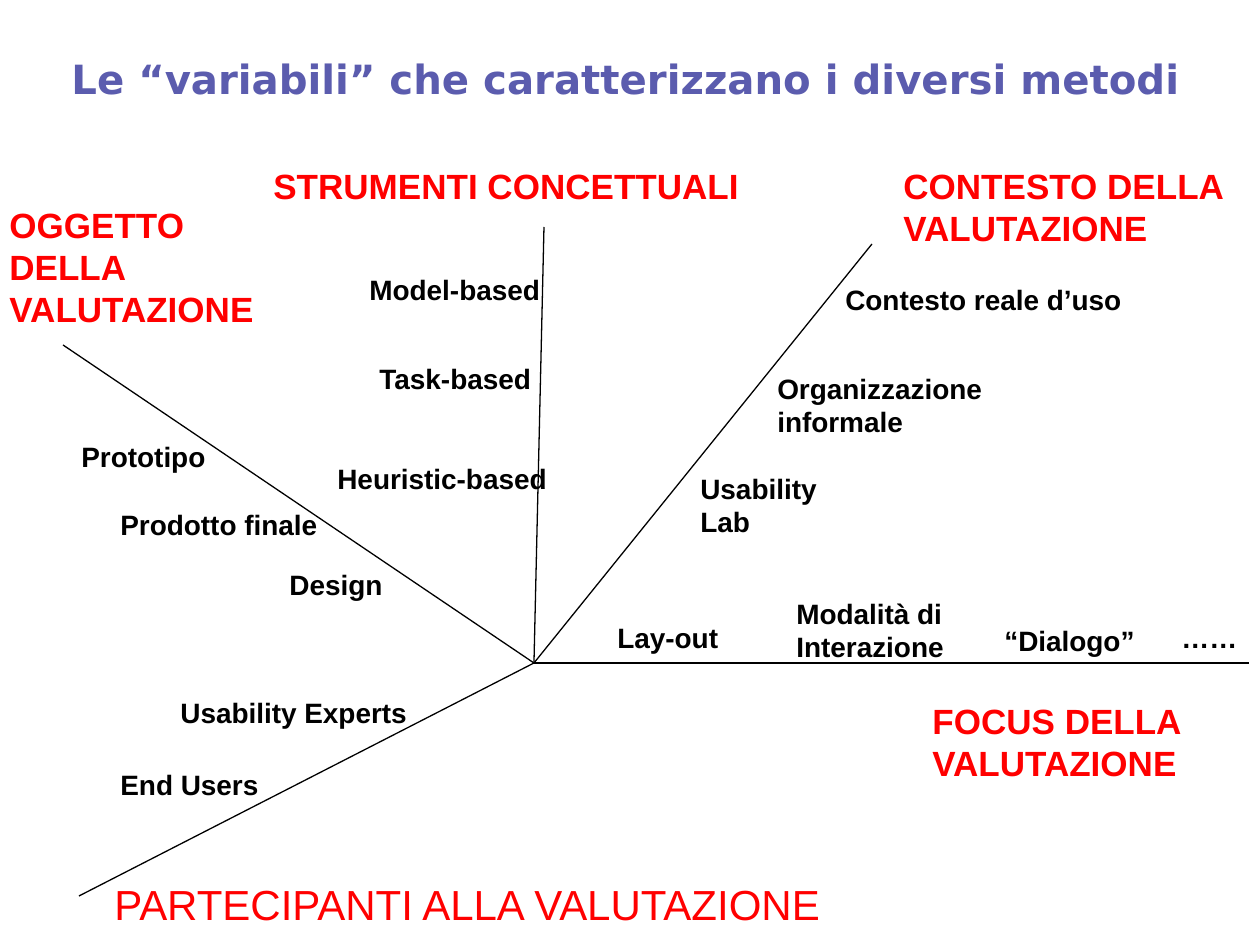
from lxml.etree import SubElement
from pptx import Presentation
from pptx.dml.color import RGBColor
from pptx.enum.shapes import MSO_CONNECTOR as CONNECTOR
from pptx.enum.text import MSO_ANCHOR as ANCHOR, MSO_AUTO_SIZE as AUTO_SIZE, PP_ALIGN as ALIGN
from pptx.oxml.ns import qn
from pptx.util import Emu, Pt

EMU_PER_PX = 914400 / 126
COLORS = {"title": "5B5CAE", "heading": "FF0000", "label": "000000", "axis": "000000"}
HUB = (534, 663)
AXIS_ENDS = [(1249, 663), (544, 227), (79, 896), (872, 244), (63, 345)]
HEADINGS = [
    ("STRUMENTI CONCETTUALI", 261, 158, 546, 55),
    ("CONTESTO DELLA\nVALUTAZIONE", 891, 158, 635, 97),
    ("FOCUS DELLA\nVALUTAZIONE", 920, 693, 635, 97),
    ("OGGETTO DELLA VALUTAZIONE", -3, 197, 297, 139),
]
LABELS = [
    ("Model-based", 357, 266, 218, 47),
    ("Task-based", 367, 355, 198, 47),
    ("Heuristic-based", 325, 455, 238, 47),
    ("Contesto reale d’uso", 833, 276, 328, 47),
    ("Organizzazione informale", 765, 365, 338, 81),
    ("Usability Lab", 688, 465, 149, 81),
    ("Lay-out", 605, 614, 149, 47),
    ("Modalità di Interazione", 784, 590, 179, 81),
    ("“Dialogo”", 992, 617, 179, 47),
    ("……", 1169, 614, 179, 47),
    ("Prototipo", 69, 433, 198, 47),
    ("Prodotto finale", 108, 501, 248, 47),
    ("Design", 277, 561, 248, 47),
    ("Usability Experts", 168, 689, 258, 47),
    ("End Users", 108, 761, 258, 47),
]


def px(length):
    return Emu(round(length * EMU_PER_PX))


def write_text(frame, text, *, size, color, font="Arial", bold=True, align=ALIGN.LEFT):
    frame.word_wrap = True
    frame.text = text
    for paragraph in frame.paragraphs:
        paragraph.alignment = align
        paragraph.font.name = font
        paragraph.font.size = Pt(size)
        paragraph.font.bold = bold
        paragraph.font.color.rgb = RGBColor.from_string(COLORS[color])


def add_title(slide, text):
    title = slide.shapes.title
    title.left, title.top, title.width, title.height = map(px, (59, 59, 1135, 39))
    frame = title.text_frame
    frame.margin_left = frame.margin_right = frame.margin_top = frame.margin_bottom = 0
    frame.vertical_anchor = ANCHOR.MIDDLE
    frame.auto_size = AUTO_SIZE.NONE
    write_text(frame, text, size=23, color="title", font="DejaVu Sans", align=ALIGN.CENTER)


def add_axis(slide, end):
    axis = slide.shapes.add_connector(CONNECTOR.STRAIGHT, *map(px, HUB + end))
    axis.line.color.rgb = RGBColor.from_string(COLORS["axis"])
    axis.line.width = Pt(0.75)
    SubElement(axis._element.spPr, qn("a:effectLst"))


def add_label(slide, text, left, top, width, height, **text_format):
    label = slide.shapes.add_textbox(*map(px, (left, top, width, height)))
    write_text(label.text_frame, text, **text_format)
    label.text_frame.auto_size = AUTO_SIZE.SHAPE_TO_FIT_TEXT


def main():
    presentation = Presentation()
    presentation.slide_width, presentation.slide_height = px(1260), px(945)
    slide = presentation.slides.add_slide(presentation.slide_layouts[5])
    add_title(slide, "Le “variabili” che caratterizzano i diversi metodi")
    for end in AXIS_ENDS:
        add_axis(slide, end)
    for heading in HEADINGS:
        add_label(slide, *heading, size=20, color="heading")
    add_label(slide, "PARTECIPANTI ALLA VALUTAZIONE", 102, 872, 824, 63,
              size=24, color="heading", bold=False)
    for label in LABELS:
        add_label(slide, *label, size=16, color="label")
    presentation.save("out.pptx")


if __name__ == "__main__":
    main()
